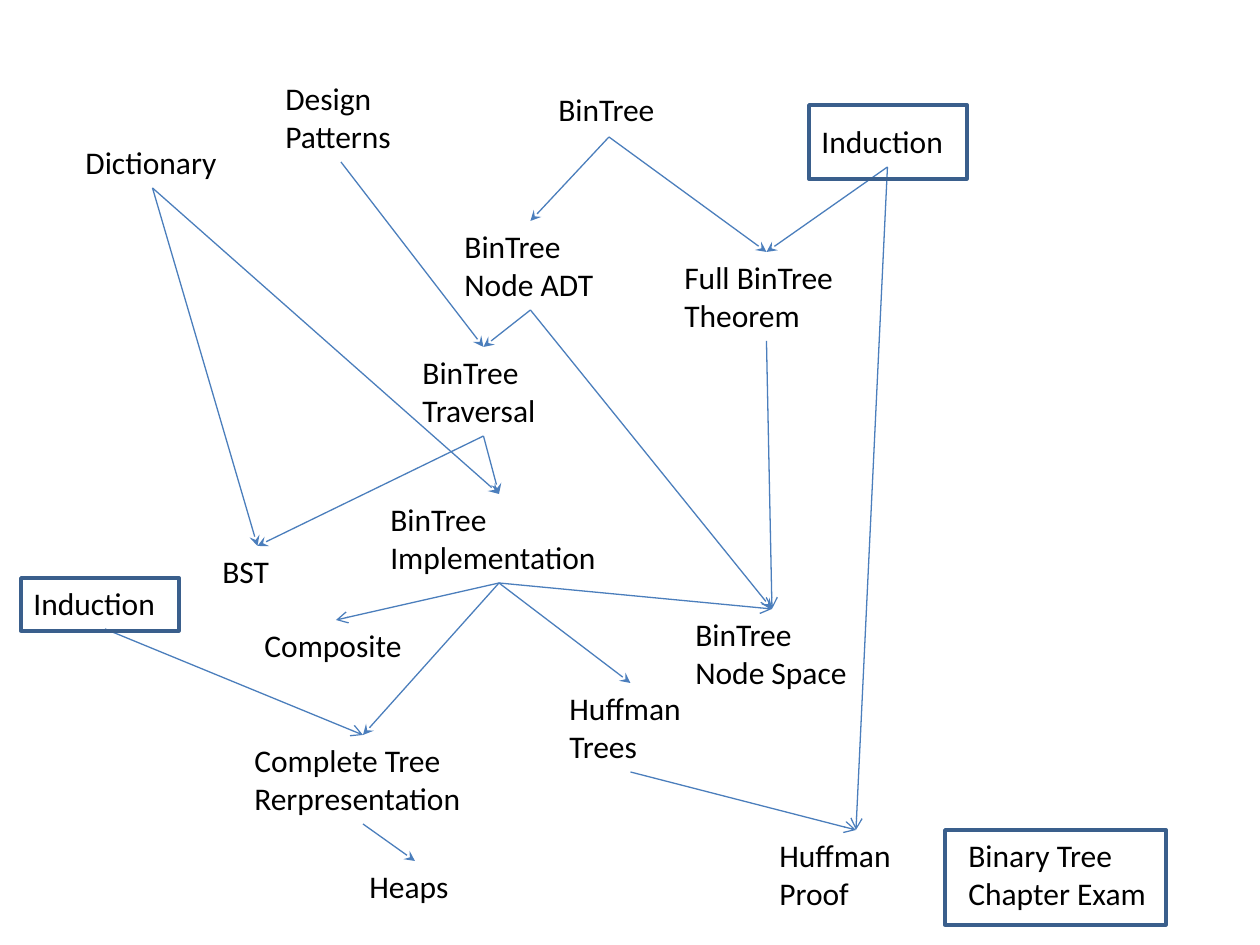
from lxml import etree
from pptx import Presentation
from pptx.dml.color import RGBColor
from pptx.enum.shapes import MSO_CONNECTOR, MSO_SHAPE
from pptx.enum.text import MSO_AUTO_SIZE, PP_ALIGN
from pptx.oxml.ns import qn
from pptx.util import Emu, Pt

PIXEL = 914400 // 126
ONE_LINE, TWO_LINES = 51, 89
TOP_SITE, BOTTOM_SITE = 0, 2

# key: (wording, left, top, width, height)
TOPICS = {
    "bintree": ("BinTree", 546, 84, 126, 53),
    "patterns": ("Design Patterns", 273, 73, 136, TWO_LINES),
    "traversal": ("BinTree Traversal", 410, 347, 147, TWO_LINES),
    "implementation": ("BinTree Implementation", 378, 494, 242, TWO_LINES),
    "theorem": ("Full BinTree Theorem", 672, 252, 189, TWO_LINES),
    "complete": ("Complete Tree Rerpresentation", 242, 735, 242, TWO_LINES),
    "huffman": ("Huffman Trees", 557, 683, 147, TWO_LINES),
    "bst": ("BST", 210, 546, 95, ONE_LINE),
    "heaps": ("Heaps", 357, 861, 116, ONE_LINE),
    "space": ("BinTree Node Space", 683, 609, 178, TWO_LINES),
    "adt": ("BinTree Node ADT", 452, 221, 157, TWO_LINES),
    "dictionary": ("Dictionary", 73, 137, 159, ONE_LINE),
    "induction": ("Induction", 809, 116, 157, ONE_LINE),
    "proof": ("Huffman Proof", 767, 830, 178, TWO_LINES),
    "induction 2": ("Induction", 21, 578, 168, ONE_LINE),
    "exam": ("Binary Tree Chapter Exam", 956, 830, 220, TWO_LINES),
    "composite": ("Composite", 252, 620, 168, ONE_LINE),
}
UNWRAPPED = {"dictionary"}

# arrowhead: (prerequisite, topic) pairs
LINKS = {
    "stealth": [
        ("traversal", "bst"), ("patterns", "traversal"),
        ("dictionary", "implementation"), ("bintree", "adt"),
        ("adt", "traversal"), ("bintree", "theorem"),
        ("traversal", "implementation"), ("implementation", "huffman"),
        ("implementation", "complete"), ("complete", "heaps"),
        ("dictionary", "bst"), ("adt", "space"), ("induction", "theorem"),
    ],
    "arrow": [
        ("implementation", "space"), ("induction", "proof"),
        ("huffman", "proof"), ("theorem", "space"),
        ("induction 2", "complete"), ("implementation", "composite"),
    ],
}

FRAMES = [(21, 578, 158, 53), (809, 105, 158, 74), (945, 830, 221, 95)]


def px(*lengths):
    """Turn pixel lengths into EMU."""
    return [Emu(length * PIXEL) for length in lengths]


def color(hex_text):
    """Return the colour for a hex string."""
    return RGBColor.from_string(hex_text)


def add_topic(slide, wording, box, wrap):
    """Add one topic as a text box."""
    topic = slide.shapes.add_textbox(*px(*box))
    frame = topic.text_frame
    frame.word_wrap = wrap
    frame.auto_size = MSO_AUTO_SIZE.SHAPE_TO_FIT_TEXT
    frame.text = wording
    frame.paragraphs[0].alignment = PP_ALIGN.LEFT
    font = frame.paragraphs[0].runs[0].font
    font.name, font.size = "Calibri", Pt(18)
    font.color.rgb = color("000000")
    return topic


def add_link(slide, prerequisite, topic, arrowhead):
    """Draw an arrow from the foot of one topic to the top of another."""
    link = slide.shapes.add_connector(MSO_CONNECTOR.STRAIGHT, 0, 0, 0, 0)
    link.begin_connect(prerequisite, BOTTOM_SITE)
    link.end_connect(topic, TOP_SITE)
    link.line.color.rgb = color("4B7EBC")
    link.line.width = Pt(0.75)
    properties = link._element.spPr
    etree.SubElement(properties.find(qn("a:ln")), qn("a:tailEnd"), type=arrowhead)
    etree.SubElement(properties, qn("a:effectLst"))


def add_frame(slide, box):
    """Draw an unfilled frame around a topic."""
    frame = slide.shapes.add_shape(MSO_SHAPE.RECTANGLE, *px(*box))
    frame.shadow.inherit = False
    frame.fill.background()
    frame.line.color.rgb = color("3A5F8C")
    frame.line.width = Pt(2)


deck = Presentation()
deck.slide_width, deck.slide_height = px(1260, 945)
slide = deck.slides.add_slide(deck.slide_layouts[6])

topics = {
    key: add_topic(slide, wording, box, key not in UNWRAPPED)
    for key, (wording, *box) in TOPICS.items()
}
for arrowhead, pairs in LINKS.items():
    for prerequisite, topic in pairs:
        add_link(slide, topics[prerequisite], topics[topic], arrowhead)
for box in FRAMES:
    add_frame(slide, box)

deck.save("out.pptx")
